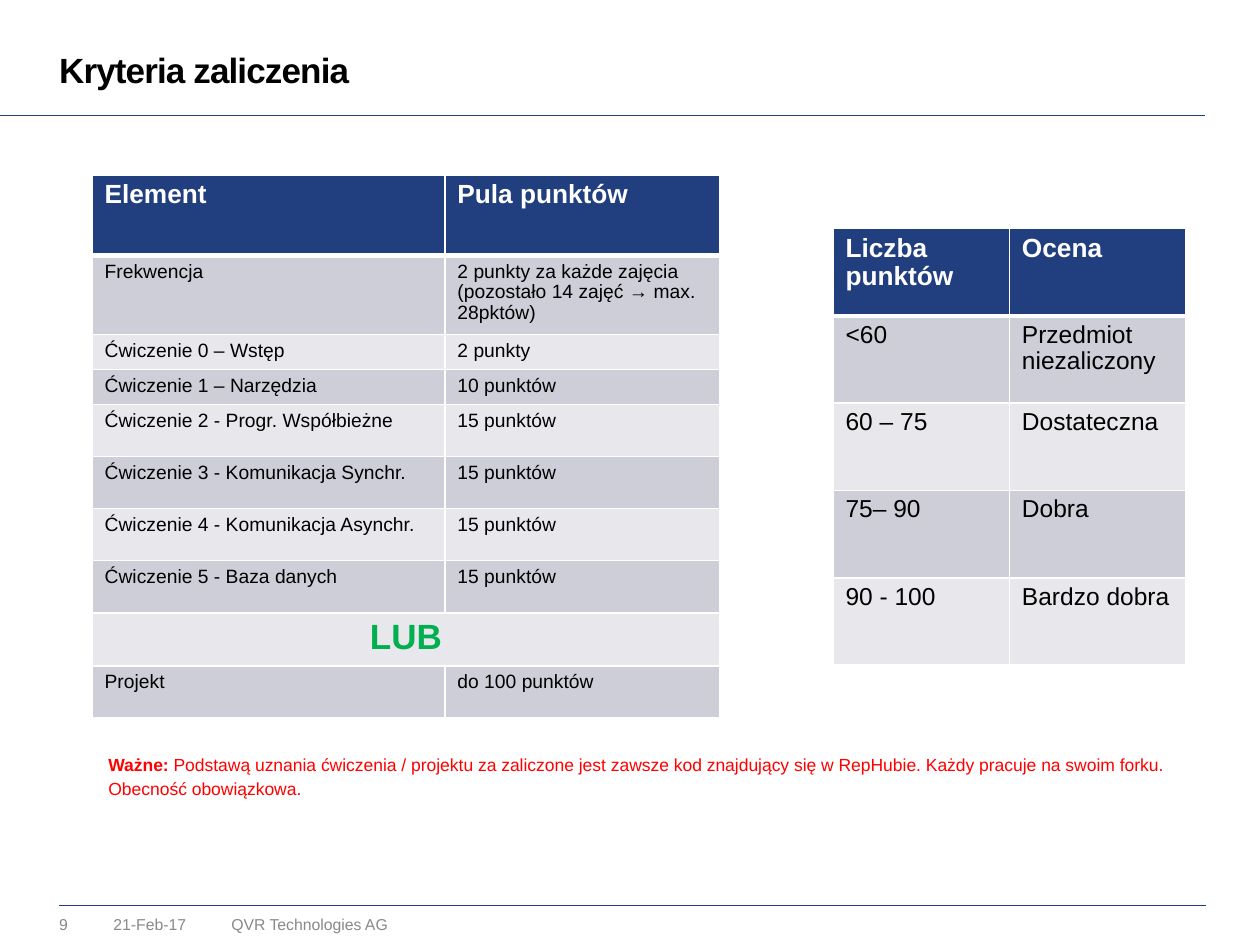
"""Build the grading criteria slide with its points table and grade table."""
import pptx
import pptx.dml.color
import pptx.enum.shapes
import pptx.enum.text
import pptx.oxml
import pptx.oxml.ns
import pptx.util

Pt = pptx.util.Pt
COLORS = {
    "navy": "213E7F", "white": "FFFFFF", "black": "000000", "gray": "898989",
    "dark_band": "CDCED8", "light_band": "E8E8EC", "green": "00B050", "red": "FF0000",
}
FONT = "Arial"
POINTS = [
    ("Element", "Pula punktów"),
    ("Frekwencja", "2 punkty za każde zajęcia\n(pozostało 14 zajęć → max. 28pktów)"),
    ("Ćwiczenie 0 – Wstęp", "2 punkty"),
    ("Ćwiczenie 1 – Narzędzia", "10 punktów"),
    ("Ćwiczenie 2 - Progr. Współbieżne", "15 punktów"),
    ("Ćwiczenie 3 - Komunikacja Synchr.", "15 punktów"),
    ("Ćwiczenie 4 - Komunikacja Asynchr.", "15 punktów"),
    ("Ćwiczenie 5 - Baza danych", "15 punktów"),
    ("LUB", ""),
    ("Projekt", "do 100 punktów"),
]
GRADES = [
    ("Liczba punktów", "Ocena"),
    ("<60", "Przedmiot niezaliczony"),
    ("60 – 75", "Dostateczna"),
    ("75– 90", "Dobra"),
    ("90 - 100", "Bardzo dobra"),
]
NOTE = [
    ["Ważne:", " Podstawą uznania ćwiczenia / projektu za zaliczone jest zawsze kod "
     "znajdujący się w RepHubie. Każdy pracuje na swoim forku."],
    ["Obecność obowiązkowa."],
]


def rgb(name):
    return pptx.dml.color.RGBColor.from_string(COLORS[name])


def format_run(r, size, color, bold=False):
    r.font.name, r.font.size, r.font.bold = FONT, Pt(size), bold
    r.font.color.rgb = rgb(color)


def format_frame(tf, size, color, bold=False, spacing=None):
    for p in tf.paragraphs:
        p.line_spacing = spacing
        for r in p.runs:
            format_run(r, size, color, bold)


def clear_margins(tf):
    tf.margin_left = tf.margin_top = tf.margin_right = tf.margin_bottom = 0
    tf.word_wrap = True
    tf.vertical_anchor = pptx.enum.text.MSO_ANCHOR.TOP


def add_rule(s, left, right, y):
    sp = s.shapes.add_connector(
        pptx.enum.shapes.MSO_CONNECTOR.STRAIGHT, Pt(left), Pt(y), Pt(right), Pt(y))
    sp.line.color.rgb = rgb("navy")
    sp.line.width = Pt(0.25)
    pptx.oxml.ns.qn("a:effectLst")
    sp._element.spPr.append(pptx.oxml.parse_xml(
        f'<a:effectLst {pptx.oxml.ns.nsdecls("a")}/>'))


def add_title(s, text):
    sp = s.shapes.title
    sp.left, sp.top, sp.width, sp.height = Pt(33.8), Pt(31.7), Pt(660), Pt(25.2)
    tf = sp.text_frame
    tf.text = text
    clear_margins(tf)
    format_frame(tf, 20, "black", True, Pt(20))
    p = tf.paragraphs[0]
    p.alignment = pptx.enum.text.PP_ALIGN.LEFT
    p.runs[0]._r.get_or_add_rPr().set("spc", "-50")


def add_text(s, left, top, width, height, text=""):
    tf = s.shapes.add_textbox(Pt(left), Pt(top), Pt(width), Pt(height)).text_frame
    clear_margins(tf)
    tf.text = text
    format_frame(tf, 9, "gray")
    return tf


def add_note(s, paragraphs):
    tf = add_text(s, 62, 430.6, 604, 26)
    for i, parts in enumerate(paragraphs):
        p = tf.add_paragraph() if i else tf.paragraphs[0]
        p.space_before = p.space_after = Pt(1)
        for part in parts:
            r = p.add_run()
            r.text = part
            format_run(r, 10, "red", part == "Ważne:")


def set_borders(cell, top, bottom):
    tcPr = cell._tc.get_or_add_tcPr()
    for side, width in (("L", 1), ("R", 1), ("T", top), ("B", bottom)):
        tcPr.append(pptx.oxml.parse_xml(
            f'<a:ln{side} {pptx.oxml.ns.nsdecls("a")} w="{Pt(width)}"><a:solidFill>'
            f'<a:srgbClr val="{COLORS["white"]}"/></a:solidFill></a:ln{side}>'))


def add_grid(s, left, top, widths, heights, rows, body_size):
    table = s.shapes.add_table(len(rows), len(widths), Pt(left), Pt(top),
                               Pt(sum(widths)), Pt(sum(heights))).table
    for column, width in zip(table.columns, widths):
        column.width = Pt(width)
    for i, (row, height) in enumerate(zip(rows, heights)):
        table.rows[i].height = Pt(height)
        header = i == 0
        band = "navy" if header else "dark_band" if i % 2 else "light_band"
        for j, text in enumerate(row):
            cell = table.cell(i, j)
            set_borders(cell, 3 if i == 1 else 1, 3 if header else 1)
            cell.fill.solid()
            cell.fill.fore_color.rgb = rgb(band)
            cell.text_frame.text = text
            format_frame(cell.text_frame, 15 if header else body_size,
                         "white" if header else "black", header, 0.96)
    return table


def add_points_table(s):
    heights = [46, 44.2, 19.5, 19.5] + [29.8] * 4 + [29.5] * 2
    table = add_grid(s, 52.6, 100, [201.6, 157.2], heights, POINTS, 11)
    cell = table.cell(8, 0)
    cell.merge(table.cell(8, 1))
    cell.text_frame.paragraphs[0].alignment = pptx.enum.text.PP_ALIGN.CENTER
    format_frame(cell.text_frame, 20, "green", True, 0.96)


def main():
    prs = pptx.Presentation()
    prs.slide_width, prs.slide_height = Pt(720), Pt(540)
    s = prs.slides.add_slide(prs.slide_layouts[5])
    add_rule(s, 33.8, 689, 517.5)
    add_rule(s, 0, 688.5, 66)
    add_title(s, "Kryteria zaliczenia")
    for left, width, text in ((64.8, 62, "21-Feb-17"), (132.2, 343, "QVR Technologies AG"),
                              (33.8, 28, "9")):
        add_text(s, left, 522.7, width, 11.5, text)
    add_points_table(s)
    add_grid(s, 476, 130.6, [100.8] * 2, [49.9] * 5, GRADES, 14)
    add_note(s, NOTE)
    prs.save("out.pptx")


if __name__ == "__main__":
    main()
